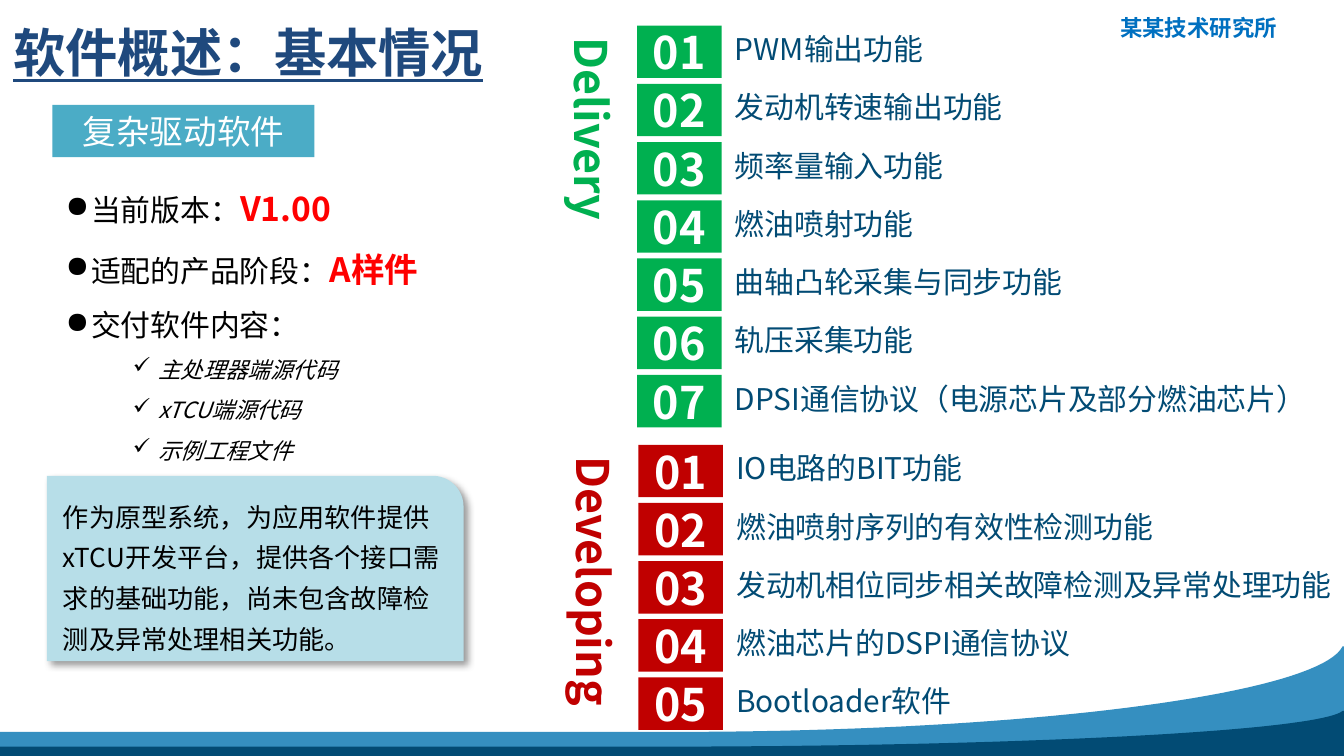
from lxml import etree
from pptx import Presentation
from pptx import util as u
from pptx.dml.color import RGBColor
from pptx.enum import shapes, text
from pptx.oxml import ns

# The slide is a grid of 100 columns; rows have the same pitch
WIDTH, HEIGHT = 100, 56.25
UNIT = u.Inches(0.1)
CJK = "Noto Sans CJK SC"
NAVY, GREEN, RED, BLACK, WHITE = "024B74", "00B050", "C00000", "000000", "FFFFFF"
LEFT, CENTER, RIGHT = text.PP_ALIGN.LEFT, text.PP_ALIGN.CENTER, text.PP_ALIGN.RIGHT


def grid(*values):
    return [round(value * UNIT) for value in values]


def color(value):
    return RGBColor.from_string(value)


def add_xml(parent, tag, **attributes):
    return etree.SubElement(parent, ns.qn(tag), attributes)


def style(font, size, value, bold=False, name=CJK):
    font.size, font.bold, font.name = u.Pt(size), bold, name
    font.color.rgb = color(value)
    add_xml(font._element if hasattr(font, "_element") else font._rPr,
            "a:ea", typeface=CJK)


def write(shape, words, size, value, bold=False, name=CJK, align=LEFT, spacing=None):
    paragraph = shape.text_frame.paragraphs[0]
    paragraph.text, paragraph.alignment = words, align
    if spacing:
        paragraph.line_spacing = spacing
    style(paragraph.font, size, value, bold, name)
    return paragraph


def add_text(slide, box, *args, **options):
    shape = slide.shapes.add_textbox(*grid(*box))
    shape.text_frame.word_wrap = True
    write(shape, *args, **options)
    return shape


def paint(shape, value):
    shape.shadow.inherit = False
    shape.fill.solid()
    shape.fill.fore_color.rgb = color(value)
    shape.line.fill.background()
    return shape


def add_panel(slide, box, value, kind=shapes.MSO_SHAPE.RECTANGLE):
    return paint(slide.shapes.add_shape(kind, *grid(*box)), value)


def add_wave(slide, box, value, shoulder, pulls, opacity=100):
    """Band with a flat top that swings up to the right edge of its box."""
    left, top, width, height = box
    bottom, flat = top + height, top + shoulder * height
    curve = [(left + 0.526 * width, flat),
             (left + 0.78 * width, flat - pulls[0] * height),
             (left + 0.982 * width, top + pulls[1] * height),
             (left + 0.999 * width, top)]
    points = [(left, bottom), (left, flat)]
    steps = 40
    for step in range(steps + 1):
        t = step / steps
        weights = (1 - t) ** 3, 3 * t * (1 - t) ** 2, 3 * t * t * (1 - t), t ** 3
        points.append(tuple(sum(w * point[axis] for w, point in zip(weights, curve))
                            for axis in (0, 1)))
    points += [(left + width, top), (left + width, bottom)]
    builder = slide.shapes.build_freeform(*grid(*points[0]))
    builder.add_line_segments([grid(*point) for point in points[1:]], close=True)
    wave = paint(builder.convert_to_shape(), value)
    if opacity < 100:
        fill = wave._element.spPr.find(ns.qn("a:solidFill"))
        add_xml(fill[0], "a:alpha", val=str(opacity * 1000))


def add_frame(slide):
    """Waves at the foot and the owner's name at the top right."""
    add_wave(slide, (0, 48.1, WIDTH, 8.15), "0373B1", 0.78, (0.02, 0.42), 80)
    add_wave(slide, (0, 52.9, WIDTH, 3.35), NAVY, 0.79, (0.03, 0.42))
    add_text(slide, (80.3, 0.6, 15.7, 3), "某某技术研究所", 12, "0070C0",
             bold=True, align=RIGHT)


def add_title(slide, box, words):
    title = slide.shapes.title
    title.left, title.top, title.width, title.height = grid(*box)
    frame = title.text_frame
    frame.auto_size, frame.word_wrap = text.MSO_AUTO_SIZE.NONE, True
    frame.vertical_anchor = text.MSO_ANCHOR.TOP
    write(title, words, 28, "1F497D", bold=True, spacing=1.3).font.underline = True


def add_overview(slide, box):
    """Heading tag with two levels of bullets below."""
    left, top, width, height = box
    tag = add_panel(slide, (left, top, 19.5, 3.9), "4BACC6")
    write(tag, "复杂驱动软件", 18, WHITE, name="Calibri", align=CENTER)

    body = slide.shapes.add_textbox(*grid(left, top + 4.2, width, height - 4.2))
    frame = body.text_frame
    frame.word_wrap = True
    lines = [(0, "当前版本：", "V1.00"), (0, "适配的产品阶段：", "A样件"),
             (0, "交付软件内容：", ""), (1, "主处理器端源代码", ""),
             (1, "xTCU端源代码", ""), (1, "示例工程文件", "")]
    for index, (level, words, value) in enumerate(lines):
        paragraph = frame.add_paragraph() if index else frame.paragraphs[0]
        paragraph.level, paragraph.line_spacing = level, 1.5
        paragraph.add_run().text = words
        style(paragraph.font, (16, 12)[level], BLACK)
        paragraph.font.italic = level == 1
        if value:
            run = paragraph.add_run()
            run.text = value
            style(run.font, 18, "FF0000", bold=True)
        # Hanging bullet, placed ahead of the paragraph's default font
        properties = paragraph._p.get_or_add_pPr()
        properties.set("marL", str(u.Inches((0.19, 0.69)[level])))
        properties.set("indent", str(-u.Inches(0.19)))
        bullet = add_xml(properties, "a:buChar", char="●✓"[level])
        properties.find(ns.qn("a:defRPr")).addprevious(bullet)


def add_note(slide, box, words):
    """Card with one round corner and a soft shadow."""
    left, top, width, height = box
    card = add_panel(slide, box, "B7DEE8", shapes.MSO_SHAPE.ROUND_1_RECTANGLE)
    effects = card._element.spPr.find(ns.qn("a:effectLst"))
    shadow = add_xml(effects, "a:outerShdw", blurRad=str(u.Pt(4)), dist=str(u.Pt(3)),
                     dir=str(45 * 60000), algn="tl", rotWithShape="0")
    add_xml(add_xml(shadow, "a:srgbClr", val=BLACK), "a:alpha", val="40000")
    add_text(slide, (left + 0.2, top + 0.7, width - 0.3, height - 0.8), words,
             14, BLACK, spacing=1.3)


def add_features(slide, box, label, value, items):
    """Vertical label beside numbered rows of equal pitch."""
    left, top, width, height = box
    tile_left, tile_width, tile_height = left + 6.9, 6.3, 3.9
    pitch = (height - tile_height) / (len(items) - 1)
    for index, item in enumerate(items):
        row = top + index * pitch
        tile = add_panel(slide, (tile_left, row, tile_width, tile_height), value)
        write(tile, f"{index + 1:02d}", 24, WHITE, bold=True, align=CENTER)
        text_left = tile_left + tile_width
        caption = add_text(slide, (text_left, row - 0.1, left + width - text_left, 3.7),
                           item, 16, NAVY)
        caption.text_frame.margin_right = 0
    heading = add_text(slide, (left, top - 0.1, 6.1, 23.4), label, 24, value, bold=True)
    heading.text_frame._txBody.bodyPr.set("vert", "eaVert")


def main():
    presentation = Presentation()
    presentation.slide_width, presentation.slide_height = grid(WIDTH, HEIGHT)
    slide = presentation.slides.add_slide(presentation.slide_layouts[5])

    add_frame(slide)
    add_title(slide, (0, -0.4, 37.9, 7.1), "软件概述：基本情况")
    add_overview(slide, (3.9, 7.8, 39.8, 27.4))
    add_features(slide, (40.5, 1.9, 59.5, 29.9), "Delivery", GREEN, [
        "PWM输出功能", "发动机转速输出功能", "频率量输入功能", "燃油喷射功能",
        "曲轴凸轮采集与同步功能", "轨压采集功能",
        "DPSI通信协议（电源芯片及部分燃油芯片）"])
    add_features(slide, (40.6, 33.1, 59.4, 21.2), "Developing", RED, [
        "IO电路的BIT功能", "燃油喷射序列的有效性检测功能",
        "发动机相位同步相关故障检测及异常处理功能",
        "燃油芯片的DSPI通信协议", "Bootloader软件"])
    add_note(slide, (3.5, 35.4, 31, 13.8),
             "作为原型系统，为应用软件提供xTCU开发平台，提供各个接口需求的基础功能，"
             "尚未包含故障检测及异常处理相关功能。")
    presentation.save("out.pptx")


if __name__ == "__main__":
    main()
